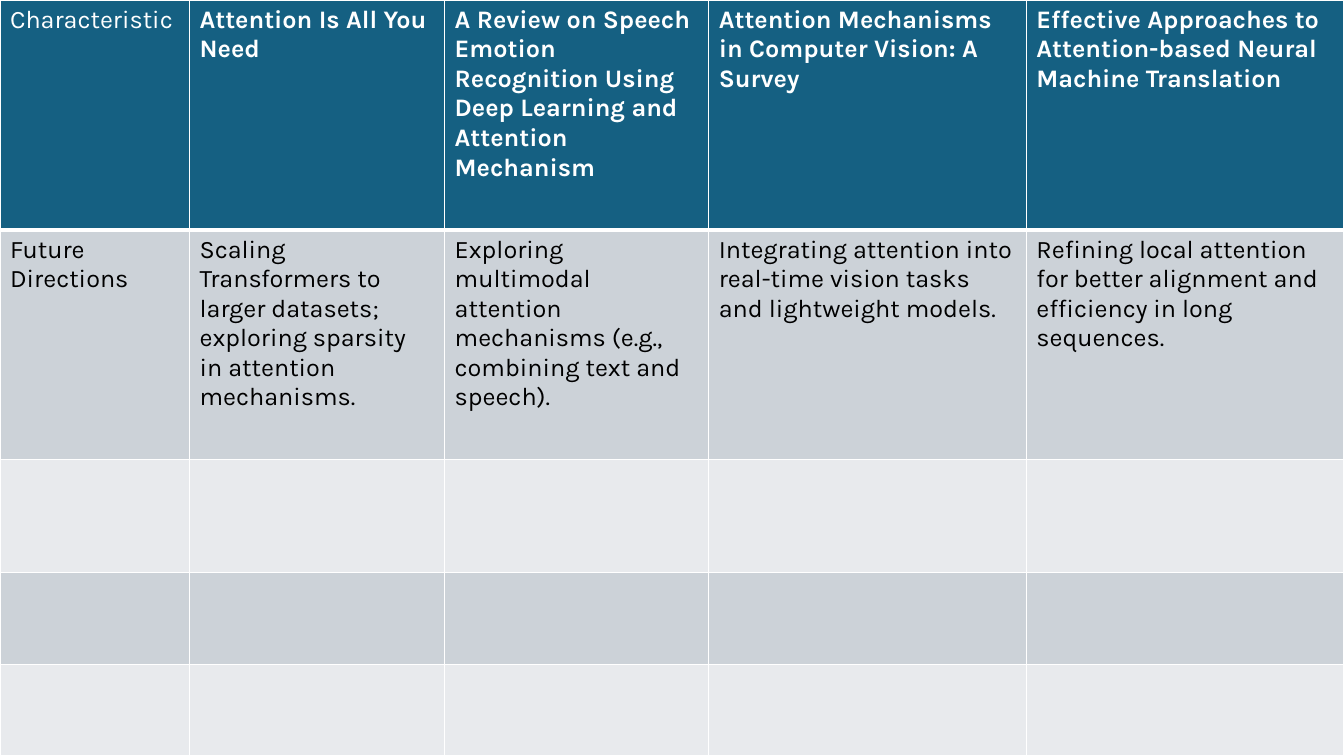
from lxml import etree
from pptx import Presentation
from pptx import util as u
from pptx.dml.color import RGBColor
from pptx.oxml.ns import qn

EMU_PER_PX = 9144
SLIDE_SIZE = (1333, 750)
COLUMN_WIDTHS = [188, 253, 262, 315, 315]
ROW_HEIGHTS = [228, 228, 112, 91, 91]
FONT = "Karla"
WHITE, BLACK, NAVY = "FFFFFF", "000000", "031C26"
HEADER_FILL = "156082"
BAND_FILLS = ["E8EAED", "CCD2D8"]

HEADER = [
    "Characteristic",
    "Attention Is All You Need",
    "A Review on Speech Emotion Recognition Using Deep Learning and Attention Mechanism",
    "Attention Mechanisms in Computer Vision: A Survey",
    "Effective Approaches to Attention-based Neural Machine Translation",
]
FUTURE_DIRECTIONS = [
    "Future Directions",
    "Scaling Transformers to larger datasets; exploring sparsity in attention mechanisms.",
    "Exploring multimodal attention mechanisms (e.g., combining text and speech).",
    "Integrating attention into real-time vision tasks and lightweight models.",
    "Refining local attention for better alignment and efficiency in long sequences.",
]


def px(length):
    return u.Emu(length * EMU_PER_PX)


def color(value):
    return RGBColor.from_string(value)


def write_text(cell, text, size=18, bold=False, ink=BLACK):
    run = cell.text_frame.paragraphs[0].add_run()
    run.text = text
    run.font.name = FONT
    run.font.size = u.Pt(size)
    run.font.bold = bold
    run.font.color.rgb = color(ink)


def draw_borders(cell, bottom=1):
    properties = cell._tc.get_or_add_tcPr()
    for side, width in (("L", 1), ("R", 1), ("T", 1), ("B", bottom)):
        line = etree.SubElement(properties, qn(f"a:ln{side}"), w=str(u.Pt(width)))
        fill = etree.SubElement(line, qn("a:solidFill"))
        etree.SubElement(fill, qn("a:srgbClr"), val=WHITE)


def fill_cell(cell, value):
    cell.fill.solid()
    cell.fill.fore_color.rgb = color(value)


def add_comparison_table(slide):
    frame = slide.shapes.add_table(
        len(ROW_HEIGHTS), len(COLUMN_WIDTHS), 0, 0, *map(px, SLIDE_SIZE)
    )
    table = frame.table
    for column, width in zip(table.columns, COLUMN_WIDTHS):
        column.width = px(width)
    for row, height in zip(table.rows, ROW_HEIGHTS):
        row.height = px(height)
    for row_index, row in enumerate(table.rows):
        is_header = row_index == 0
        for cell in row.cells:
            draw_borders(cell, bottom=3 if is_header else 1)
            fill_cell(cell, HEADER_FILL if is_header else BAND_FILLS[row_index % 2])
    for index, (title, direction) in enumerate(zip(HEADER, FUTURE_DIRECTIONS)):
        write_text(table.cell(0, index), title, bold=index > 0, ink=WHITE)
        write_text(table.cell(1, index), direction)


def main():
    presentation = Presentation()
    presentation.slide_width, presentation.slide_height = map(px, SLIDE_SIZE)
    slide = presentation.slides.add_slide(presentation.slide_layouts[6])
    slide.background.fill.solid()
    slide.background.fill.fore_color.rgb = color(NAVY)
    add_comparison_table(slide)
    presentation.save("out.pptx")


if __name__ == "__main__":
    main()
